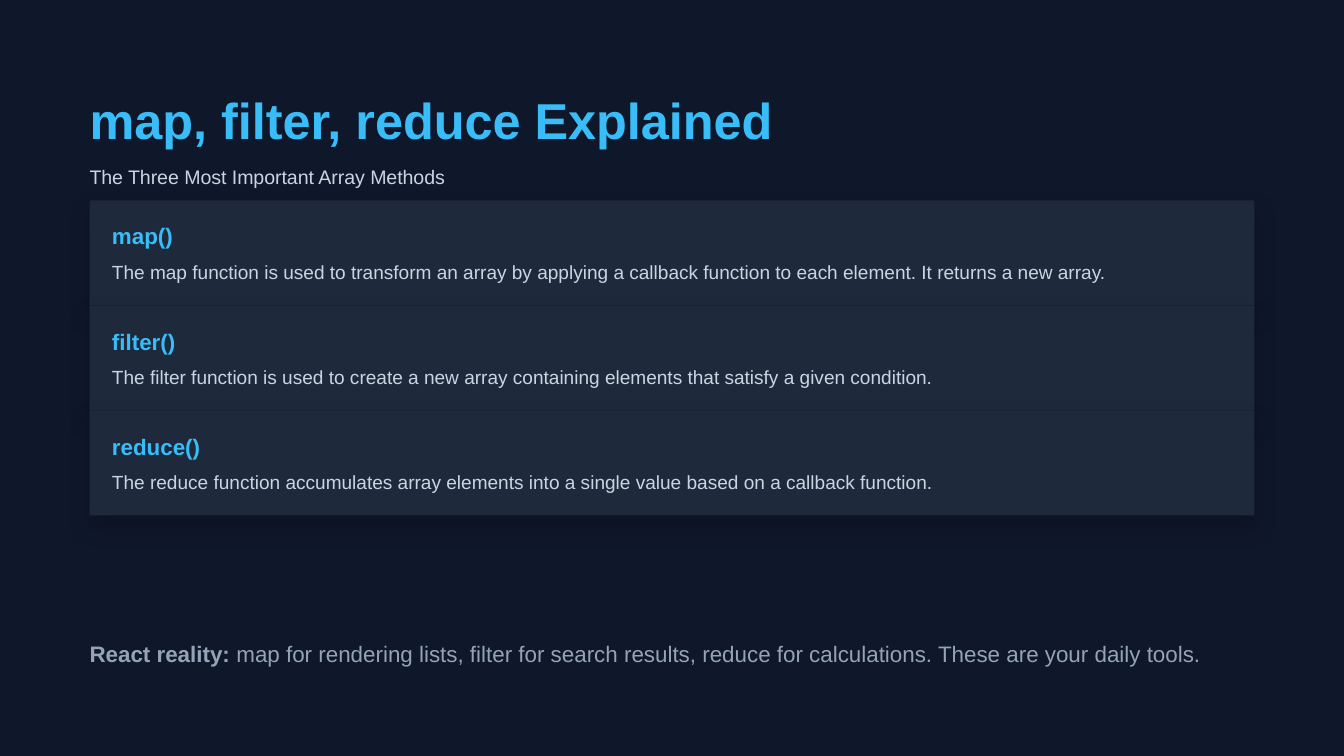
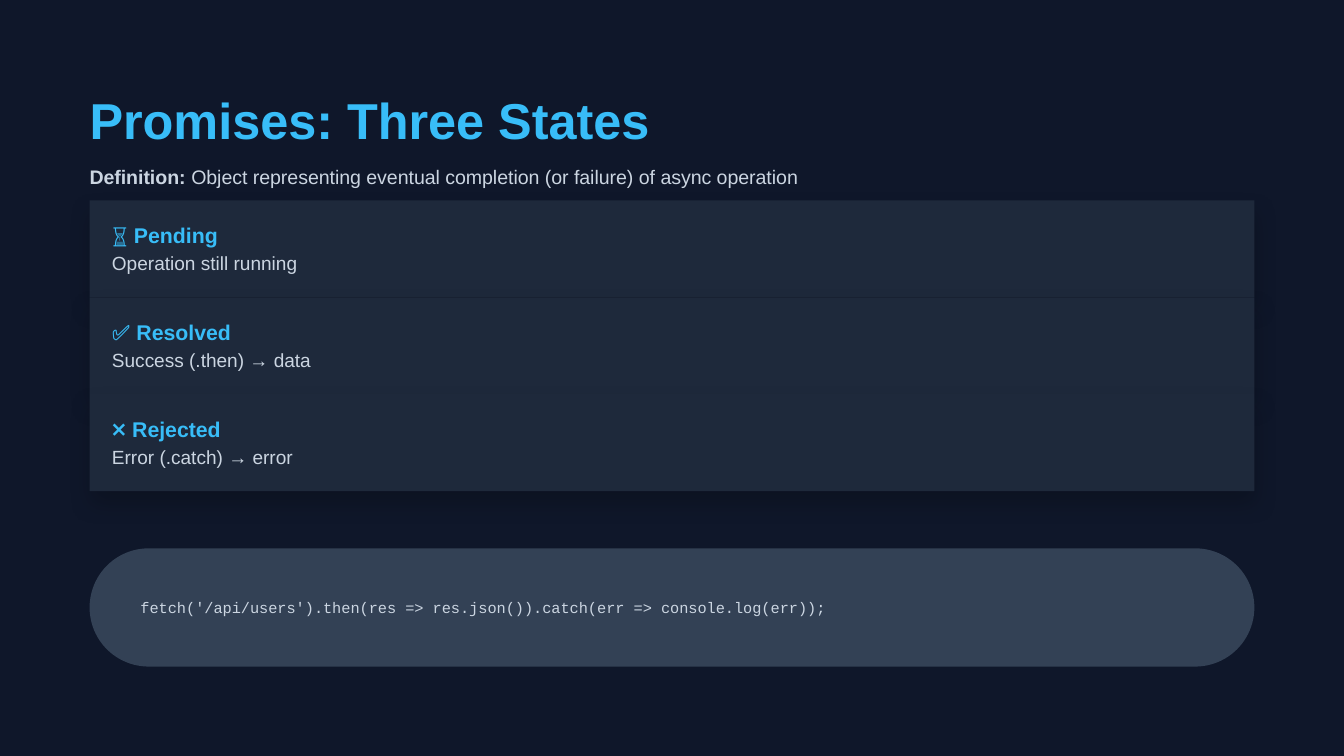
from lxml.etree import SubElement
from pptx import Presentation
from pptx.dml.color import RGBColor as RGB
from pptx.enum.shapes import MSO_SHAPE as SHAPE
from pptx.enum.text import MSO_ANCHOR as ANCHOR, MSO_AUTO_SIZE as FIT, PP_ALIGN as ALIGN
from pptx.oxml.ns import qn
from pptx.util import Inches, Pt

NAVY = RGB(0x0F, 0x17, 0x2A)
CARD = RGB(0x1E, 0x29, 0x3B)
SLATE = RGB(0x33, 0x41, 0x55)
SKY = RGB(0x38, 0xBD, 0xF8)
PALE = RGB(0xCB, 0xD5, 0xE1)
GREY = RGB(0x94, 0xA3, 0xB8)

LEFT = 2 / 3
WIDE = 10 - 2 * LEFT
TEXT_WIDE = 8.84
CARD_TOP, PAD = 1.49, 1 / 6

TITLE = {"size": 27, "color": SKY, "bold": True, "lead": 1.2}
LEDE = {"size": 10.5, "color": PALE, "lead": 1.4}
BODY = {"size": 10.2, "color": PALE, "lead": 1.4}
NOTE = {"size": 12, "color": GREY, "lead": 1.4}
CODE = {"size": 8.2, "color": PALE, "name": "Courier New"}

METHODS = [
    ("map()", "The map function is used to transform an array by applying "
              "a callback function to each element. It returns a new array."),
    ("filter()", "The filter function is used to create a new array "
                 "containing elements that satisfy a given condition."),
    ("reduce()", "The reduce function accumulates array elements into "
                 "a single value based on a callback function."),
]
STATES = [
    ("⏳ Pending", "Operation still running"),
    ("✅ Resolved", "Success (.then) → data"),
    ("❌ Rejected", "Error (.catch) → error"),
]


def box(left, top, wide, high):
    return [Inches(n) for n in (left, top, wide, high)]


def write(shape, text, style, lead_in="", inset=0, anchor=ANCHOR.TOP):
    """Fill a shape with one paragraph, after an optional bold lead-in."""
    frame = shape.text_frame
    gap = Inches(inset)
    look = {"word_wrap": True, "auto_size": FIT.NONE, "vertical_anchor": anchor,
            "margin_left": gap, "margin_top": gap,
            "margin_right": gap, "margin_bottom": gap}
    for key, value in look.items():
        setattr(frame, key, value)
    para = frame.paragraphs[0]
    para.alignment = ALIGN.LEFT
    if "lead" in style:
        para.line_spacing = Pt(style["size"] * style["lead"])
    bold = style.get("bold", False)
    for part, heavy in ((lead_in, True), (text, bold)):
        if not part:
            continue
        run = para.add_run()
        run.text = part
        font = {"name": style.get("name", "Arial"),
                "size": Pt(style["size"]), "bold": heavy}
        for key, value in font.items():
            setattr(run.font, key, value)
        run.font.color.rgb = style["color"]


def add_text(slide, place, text, style, lead_in=""):
    write(slide.shapes.add_textbox(*box(*place)), text, style, lead_in)


def add_panel(slide, kind, place, fill):
    panel = slide.shapes.add_shape(kind, *box(*place))
    panel.shadow.inherit = False
    panel.fill.solid()
    panel.fill.fore_color.rgb = fill
    panel.line.fill.background()
    return panel


def add_shade(shape):
    """Give a shape a soft black shadow that falls straight down."""
    effects = shape.element.spPr.find(qn("a:effectLst"))
    shade = SubElement(effects, qn("a:outerShdw"), blurRad=str(Pt(12)),
                       dist=str(Pt(6)), dir="5400000", algn="ctr",
                       rotWithShape="0")
    color = SubElement(shade, qn("a:srgbClr"), val="000000")
    SubElement(color, qn("a:alpha"), val="20000")


def add_cards(slide, items, size, drop):
    """Stack cards; drop is the distance from heading to body text."""
    high = 2 * PAD + drop + BODY["size"] * BODY["lead"] / 72
    tops = [CARD_TOP + i * high for i in range(len(items))]
    for top in tops:
        add_shade(add_panel(slide, SHAPE.RECTANGLE, (LEFT, top, WIDE, high), CARD))
    head = {**TITLE, "size": size}
    for top, (name, text) in zip(tops, items):
        left, y = LEFT + PAD, top + PAD
        add_text(slide, (left, y, 8.5, 0.2), name, head)
        add_text(slide, (left, y + drop, 8.5, 0.2), text, BODY)


def add_code(slide, text):
    pill = add_panel(slide, SHAPE.ROUNDED_RECTANGLE, (LEFT, 4.08, WIDE, 0.88), SLATE)
    pill.adjustments[0] = 0.56
    write(pill, text, CODE, inset=0.25, anchor=ANCHOR.MIDDLE)


def add_slide(deck, title, lede, lead_in=""):
    slide = deck.slides.add_slide(deck.slide_layouts[5])
    slide.background.fill.solid()
    slide.background.fill.fore_color.rgb = NAVY
    head = slide.shapes.title
    head.left, head.top, head.width, head.height = box(LEFT, LEFT, TEXT_WIDE, 0.45)
    write(head, title, TITLE)
    add_text(slide, (LEFT, 1.2, TEXT_WIDE, 0.2), lede, LEDE, lead_in)
    return slide


def main():
    deck = Presentation()
    deck.slide_width = Inches(10)
    deck.slide_height = Inches(10 * 9 / 16)

    slide = add_slide(deck, "map, filter, reduce Explained",
                      "The Three Most Important Array Methods")
    add_cards(slide, METHODS, size=12, drop=0.25)
    add_text(slide, (LEFT, 4.73, TEXT_WIDE, 0.23),
             " map for rendering lists, filter for search results, "
             "reduce for calculations. These are your daily tools.",
             NOTE, "React reality:")

    slide = add_slide(deck, "Promises: Three States",
                      " Object representing eventual completion (or failure) "
                      "of async operation", "Definition:")
    add_cards(slide, STATES, size=11.4, drop=0.19)
    add_code(slide, "fetch('/api/users').then(res => res.json())"
                    ".catch(err => console.log(err));")

    deck.save("out.pptx")


if __name__ == "__main__":
    main()
